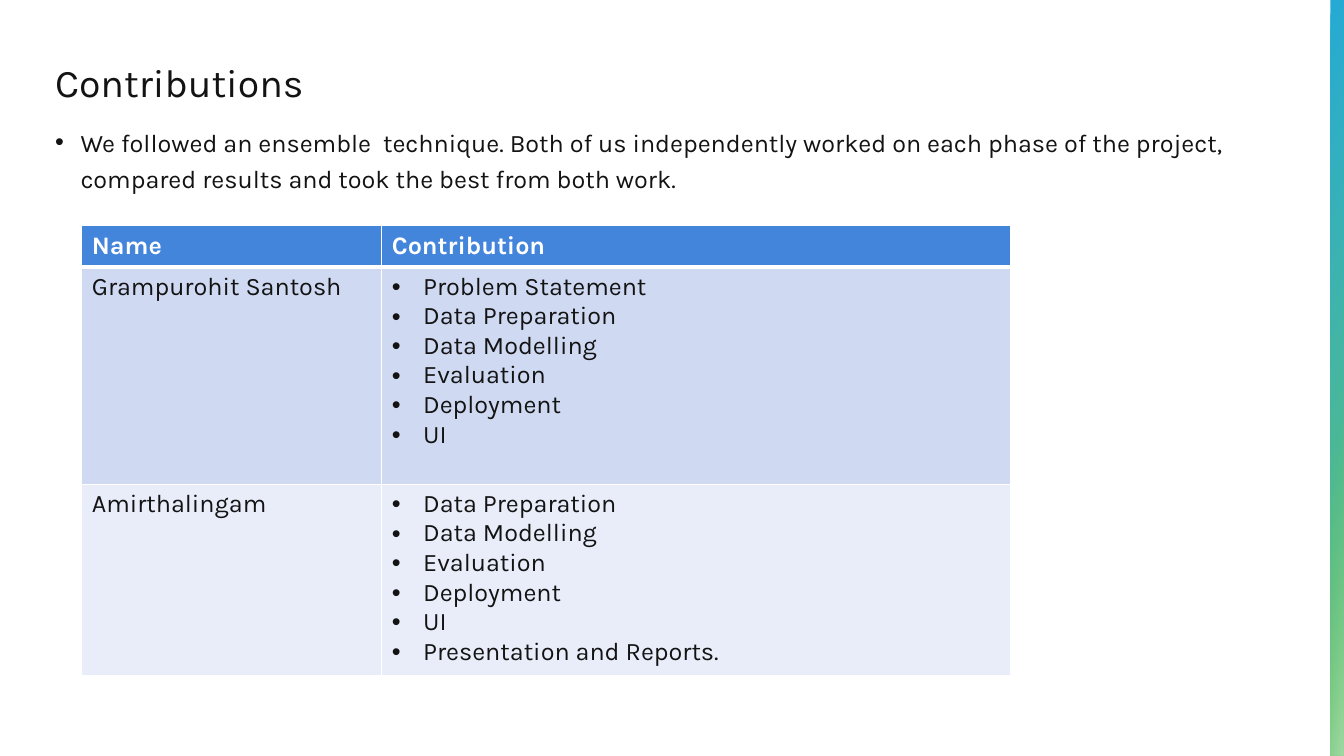
from dataclasses import dataclass

from lxml import etree
from pptx import Presentation
from pptx.dml.color import RGBColor
from pptx.enum.shapes import MSO_SHAPE
from pptx.enum.text import MSO_ANCHOR
from pptx.oxml.ns import qn
from pptx.util import Cm, Pt

RECTANGLE = MSO_SHAPE.RECTANGLE
TOP, MIDDLE = MSO_ANCHOR.TOP, MSO_ANCHOR.MIDDLE

TITLE = "Contributions"
SUMMARY = (
    "We followed an ensemble\u00a0 technique. Both of us independently worked on each "
    "phase of the project, compared results and took the best from both work."
)
HEADER = ("Name", "Contribution")
SHARED_WORK = ["Data Preparation", "Data Modelling", "Evaluation", "Deployment", "UI"]
CONTRIBUTORS = [
    ("Grampurohit Santosh", ["Problem Statement"] + SHARED_WORK),
    ("Amirthalingam", SHARED_WORK + ["Presentation and Reports."]),
]


@dataclass(frozen=True)
class Theme:
    font: str = "Karla"
    ink: str = "131313"
    paper: str = "FFFFFF"
    header: str = "4485DC"
    bands: tuple = ("CFD9F2", "E9EDF9")
    blue: str = "25AAD5"
    green: str = "66C26C"
    mint: str = "A3DAA7"
    title_size: int = 28
    text_size: int = 18


THEME = Theme()
SLIDE_WIDTH, SLIDE_HEIGHT = Cm(33.87), Cm(19.05)
STRIP_WIDTH = Cm(0.34)
GLOW_HEIGHT = Cm(9.25)
TEXT_LEFT = Cm(1.14)
TABLE_LEFT, TABLE_TOP = Cm(2.06), Cm(5.69)
COLUMN_WIDTHS = (Cm(7.56), Cm(15.85))
ROW_HEIGHTS = (Cm(1.04), Cm(5.47), Cm(4.7))
SUMMARY_INDENT, LIST_INDENT = Cm(0.64), Cm(0.79)


def style(paragraph, size, color, bold=False):
    for run in paragraph.runs:
        run.font.name = THEME.font
        run.font.size = Pt(size)
        run.font.bold = bold
        run.font.color.rgb = RGBColor.from_string(color)


def add_bullet(paragraph, indent):
    properties = paragraph._p.get_or_add_pPr()
    properties.set("marL", str(indent))
    properties.set("indent", str(-indent))
    font = etree.SubElement(properties, qn("a:buFont"))
    font.set("typeface", "Arial")
    etree.SubElement(properties, qn("a:buChar")).set("char", "•")


def add_text(slide, text, box, size, anchor, line_spacing):
    frame = slide.shapes.add_textbox(*box).text_frame
    frame.word_wrap = True
    frame.vertical_anchor = anchor
    frame.text = text
    paragraph = frame.paragraphs[0]
    paragraph.line_spacing = line_spacing
    style(paragraph, size, THEME.ink)
    return paragraph


def add_strip(slide, height, stops, angle):
    strip = slide.shapes.add_shape(
        RECTANGLE, SLIDE_WIDTH - STRIP_WIDTH, SLIDE_HEIGHT - height, STRIP_WIDTH, height
    )
    strip.shadow.inherit = False
    strip.line.fill.background()
    strip.fill.gradient()
    gradient = strip._element.spPr.find(qn("a:gradFill"))
    for child in list(gradient):
        gradient.remove(child)
    stop_list = etree.SubElement(gradient, qn("a:gsLst"))
    for position, color, opacity in stops:
        stop = etree.SubElement(stop_list, qn("a:gs"), pos=str(position * 1000))
        tint = etree.SubElement(stop, qn("a:srgbClr"), val=color)
        if opacity < 100:
            etree.SubElement(tint, qn("a:alpha"), val=str(opacity * 1000))
    etree.SubElement(gradient, qn("a:lin"), ang=str(angle * 60000), scaled="0")


def set_borders(cell, bottom_width):
    properties = cell._tc.get_or_add_tcPr()
    widths = {"L": 1, "R": 1, "T": 1, "B": bottom_width}
    for index, (side, width) in enumerate(widths.items()):
        border = etree.Element(qn(f"a:ln{side}"), w=str(Pt(width)))
        fill = etree.SubElement(border, qn("a:solidFill"))
        etree.SubElement(fill, qn("a:srgbClr"), val=THEME.paper)
        properties.insert(index, border)


def fill_cell(cell, lines, background, color, bold=False, bulleted=False, bottom_width=1):
    cell.text_frame.text = "\n".join(lines)
    for paragraph in cell.text_frame.paragraphs:
        style(paragraph, THEME.text_size, color, bold)
        if bulleted:
            add_bullet(paragraph, LIST_INDENT)
    cell.fill.solid()
    cell.fill.fore_color.rgb = RGBColor.from_string(background)
    set_borders(cell, bottom_width)


def add_contributions(slide):
    table = slide.shapes.add_table(
        len(ROW_HEIGHTS), len(COLUMN_WIDTHS), TABLE_LEFT, TABLE_TOP,
        sum(COLUMN_WIDTHS), sum(ROW_HEIGHTS),
    ).table
    for column, width in zip(table.columns, COLUMN_WIDTHS):
        column.width = width
    for row, height in zip(table.rows, ROW_HEIGHTS):
        row.height = height
    for column, heading in enumerate(HEADER):
        fill_cell(table.cell(0, column), [heading], THEME.header, THEME.paper,
                  bold=True, bottom_width=3)
    for row, ((name, work), band) in enumerate(zip(CONTRIBUTORS, THEME.bands), start=1):
        fill_cell(table.cell(row, 0), [name], band, THEME.ink)
        fill_cell(table.cell(row, 1), work, band, THEME.ink, bulleted=True)
    for column in range(len(HEADER)):
        top_border = table.cell(1, column)._tc.tcPr.find(qn("a:lnT"))
        top_border.set("w", str(Pt(3)))


def main():
    presentation = Presentation()
    presentation.slide_width = SLIDE_WIDTH
    presentation.slide_height = SLIDE_HEIGHT
    slide = presentation.slides.add_slide(presentation.slide_layouts[6])

    add_strip(slide, SLIDE_HEIGHT, [(0, THEME.blue, 100), (100, THEME.green, 100)], 30)
    add_strip(slide, GLOW_HEIGHT, [(19, THEME.green, 0), (100, THEME.mint, 100)], 10)

    title_box = (TEXT_LEFT, Cm(1.4), Cm(12.98), Cm(1.45))
    add_text(slide, TITLE, title_box, THEME.title_size, MIDDLE, 0.9)
    summary_box = (TEXT_LEFT, Cm(2.92), Cm(30.35), Cm(14.81))
    summary = add_text(slide, SUMMARY, summary_box, THEME.text_size, TOP, 1.2)
    summary.space_before = Pt(10)
    add_bullet(summary, SUMMARY_INDENT)

    add_contributions(slide)
    presentation.save("out.pptx")


if __name__ == "__main__":
    main()
